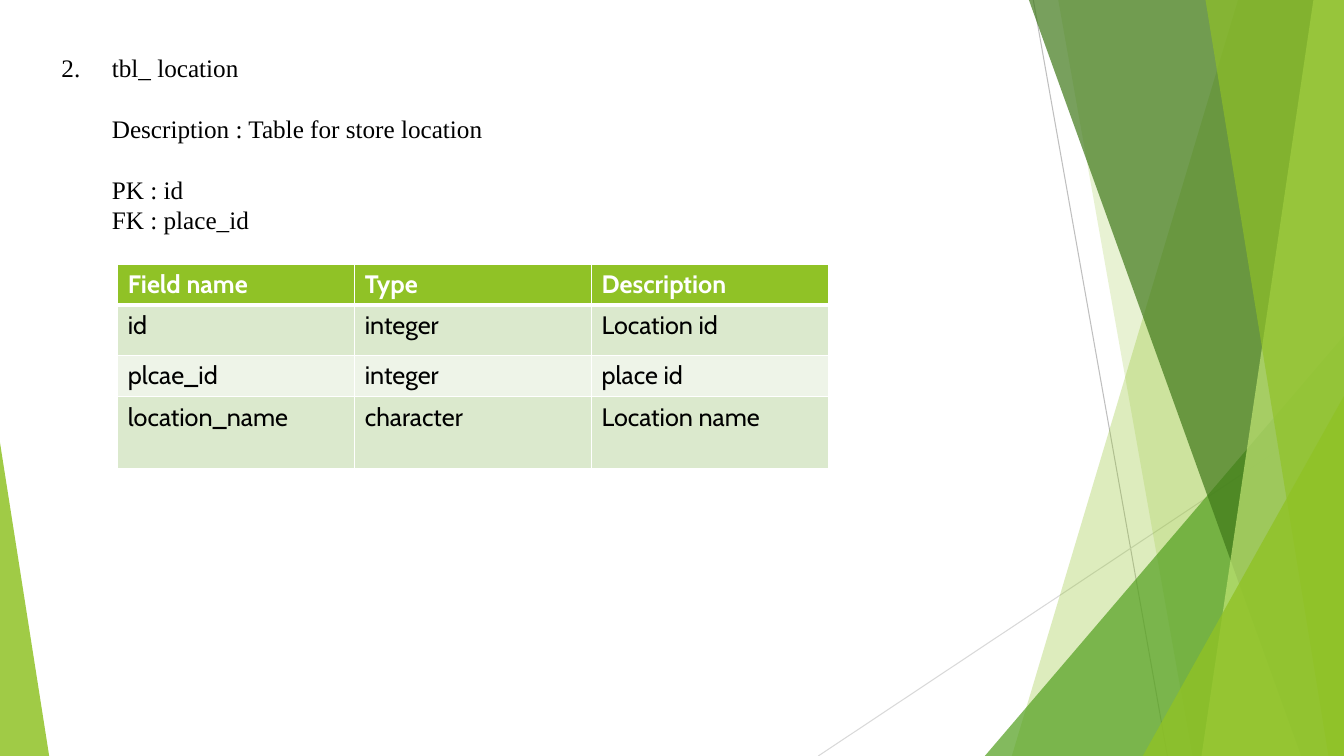
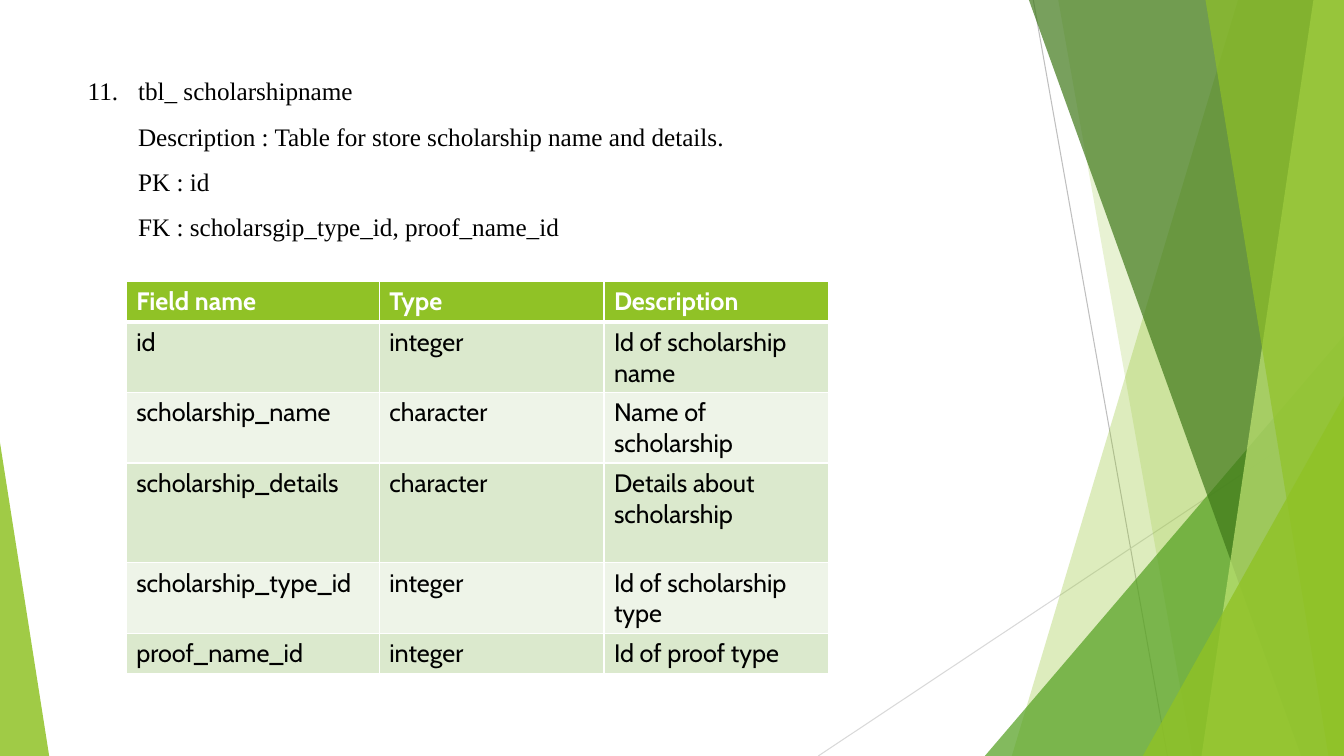
from dataclasses import dataclass

from lxml import etree
from pptx import Presentation
from pptx.dml.color import RGBColor
from pptx.enum.shapes import MSO_CONNECTOR, MSO_SHAPE
from pptx.oxml.ns import qn
from pptx.util import Cm, Pt

STRAIGHT = MSO_CONNECTOR.STRAIGHT
TRIANGLE = MSO_SHAPE.ISOSCELES_TRIANGLE

# Shared style
WIDE, HIGH = 33.87, 19.05
LIME, GREEN, MOSS, PALE = "90C226", "54A021", "3F7819", "C0E474"
WHITE, BLACK = "FFFFFF", "000000"
ROWS = ("DBE9CD", "EEF4E8")
SERIF, SANS = "Times New Roman", "Cabin"
SIZE = 18
INDENT = 1.27
HEAD = ("Field name", "Type", "Description")


@dataclass
class Ray:
    start: tuple[float, float]
    end: tuple[float, float]
    tone: str


@dataclass
class Band:
    """Area from a slanted left edge to the right side of the slide."""
    top: float
    foot: float
    tone: str
    alpha: int


@dataclass
class Wedge:
    """Triangle that stands on the bottom of the slide."""
    left: float
    top: float
    width: float
    peak: int
    tone: str
    alpha: int


@dataclass
class Note:
    box: tuple[float, float, float, float]
    lines: list[str]
    gaps: list[int]
    pitch: float


@dataclass
class Grid:
    left: float
    top: float
    cols: list[float]
    highs: list[float]
    body: list[tuple[str, str, str]]


@dataclass
class Page:
    note: Note
    grid: Grid


RAYS = [
    Ray((26.04, 0), (29.42, HIGH), "BFBFBF"),
    Ray((WIDE, 10.24), (20.62, HIGH), "D9D9D9"),
]
FACETS = [
    Band(31.2, 25.5, LIME, 30),
    Band(26.67, 30.05, LIME, 20),
    Wedge(24.82, 8.46, 9.05, 1, GREEN, 72),
    Band(25.93, 32.79, MOSS, 70),
    Band(33.1, 30.28, PALE, 70),
    Band(30.38, 33.48, LIME, 65),
    Wedge(28.8, 9.98, 5.07, 1, LIME, 80),
    Wedge(0, 11.15, 1.24, 0, LIME, 85),
]

PAGES = [
    Page(
        Note((1.3, 1.19, 24.13, 5.64),
             ["2. \ttbl_ location", "Description : Table for store location",
              "PK : id", "FK : place_id"],
             [0, 22, 22, 0], 1),
        Grid(2.97, 6.65, [5.97] * 3, [1.04, 1.27, 1.04, 1.8],
             [("id", "integer", "Location id"),
              ("plcae_id", "integer", "place id"),
              ("location_name", "character", "Location name")]),
    ),
    Page(
        Note((1.96, 1.4, 16.94, 6.81),
             ["11.\ttbl_ scholarshipname",
              "Description : Table for store scholarship name and details.",
              "PK : id", "FK : scholarsgip_type_id, proof_name_id"],
             [0] * 4, 1.5),
        Grid(3.18, 7.09, [6.38, 5.66, 5.66],
             [1.02, 1.75, 1.75, 2.51, 1.75, 1.02],
             [("id", "integer", "Id of scholarship name"),
              ("scholarship_name", "character", "Name of scholarship"),
              ("scholarship_details", "character", "Details about scholarship"),
              ("scholarship_type_id", "integer", "Id of scholarship type"),
              ("proof_name_id", "integer", "Id of proof type")]),
    ),
]


def hue(code: str) -> RGBColor:
    return RGBColor.from_string(code)


def style(para, font: str, tone: str, bold: bool = False) -> None:
    for run in para.runs:
        run.font.name = font
        run.font.size = Pt(SIZE)
        run.font.bold = bold
        run.font.color.rgb = hue(tone)


# Background
def draw_ray(slide, ray: Ray) -> None:
    line = slide.shapes.add_connector(
        STRAIGHT, *(Cm(v) for v in ray.start + ray.end))
    line.line.color.rgb = hue(ray.tone)
    line.line.width = Pt(0.75)
    etree.SubElement(line.element.spPr, qn("a:effectLst"))


def draw_facet(slide, facet: Band | Wedge) -> None:
    if isinstance(facet, Band):
        form = slide.shapes.build_freeform(Cm(facet.top), 0, scale=1.0)
        edge = [(WIDE, 0), (WIDE, HIGH), (facet.foot, HIGH)]
        form.add_line_segments([(Cm(x), Cm(y)) for x, y in edge], close=True)
        shape = form.convert_to_shape()
    else:
        shape = slide.shapes.add_shape(
            TRIANGLE, Cm(facet.left), Cm(facet.top),
            Cm(facet.width), Cm(HIGH - facet.top))
        shape.adjustments[0] = facet.peak
    shape.shadow.inherit = False
    shape.line.fill.background()
    shape.fill.solid()
    shape.fill.fore_color.rgb = hue(facet.tone)
    tint = shape.element.spPr.find(f"{qn('a:solidFill')}/{qn('a:srgbClr')}")
    etree.SubElement(tint, qn("a:alpha"), val=str(facet.alpha * 1000))


# Numbered notes with a hanging indent
def draw_note(slide, note: Note) -> None:
    frame = slide.shapes.add_textbox(*(Cm(v) for v in note.box)).text_frame
    frame.word_wrap = True
    frame.text = "\n".join(note.lines)
    for i, (para, gap) in enumerate(zip(frame.paragraphs, note.gaps)):
        para.line_spacing = note.pitch
        para.space_before = Pt(gap)
        props = para._p.get_or_add_pPr()
        props.set("marL", str(Cm(INDENT)))
        props.set("indent", str(0 if i else -Cm(INDENT)))
        style(para, SERIF, BLACK)


# Field table
def add_edge(cell, side: str, width: float) -> None:
    props = cell._tc.get_or_add_tcPr()
    line = etree.SubElement(props, qn(f"a:ln{side}"), w=str(Pt(width)))
    fill = etree.SubElement(line, qn("a:solidFill"))
    etree.SubElement(fill, qn("a:srgbClr"), val=WHITE)


def draw_grid(slide, grid: Grid) -> None:
    data = [HEAD, *grid.body]
    table = slide.shapes.add_table(
        len(data), len(HEAD), Cm(grid.left), Cm(grid.top),
        Cm(sum(grid.cols)), Cm(sum(grid.highs))).table
    for col, width in zip(table.columns, grid.cols):
        col.width = Cm(width)
    for r, (row, high) in enumerate(zip(table.rows, grid.highs)):
        row.height = Cm(high)
        for cell, text in zip(row.cells, data[r]):
            cell.text_frame.text = text
            style(cell.text_frame.paragraphs[0], SANS,
                  BLACK if r else WHITE, bold=r == 0)
            for side in "LRTB":
                thick = (r, side) in ((0, "B"), (1, "T"))
                add_edge(cell, side, 3 if thick else 1)
            cell.fill.solid()
            cell.fill.fore_color.rgb = hue(ROWS[(r - 1) % 2] if r else LIME)


def main() -> None:
    deck = Presentation()
    deck.slide_width, deck.slide_height = Cm(WIDE), Cm(HIGH)
    for page in PAGES:
        slide = deck.slides.add_slide(deck.slide_layouts[6])
        for ray in RAYS:
            draw_ray(slide, ray)
        for facet in FACETS:
            draw_facet(slide, facet)
        draw_note(slide, page.note)
        draw_grid(slide, page.grid)
    deck.save("out.pptx")


if __name__ == "__main__":
    main()
